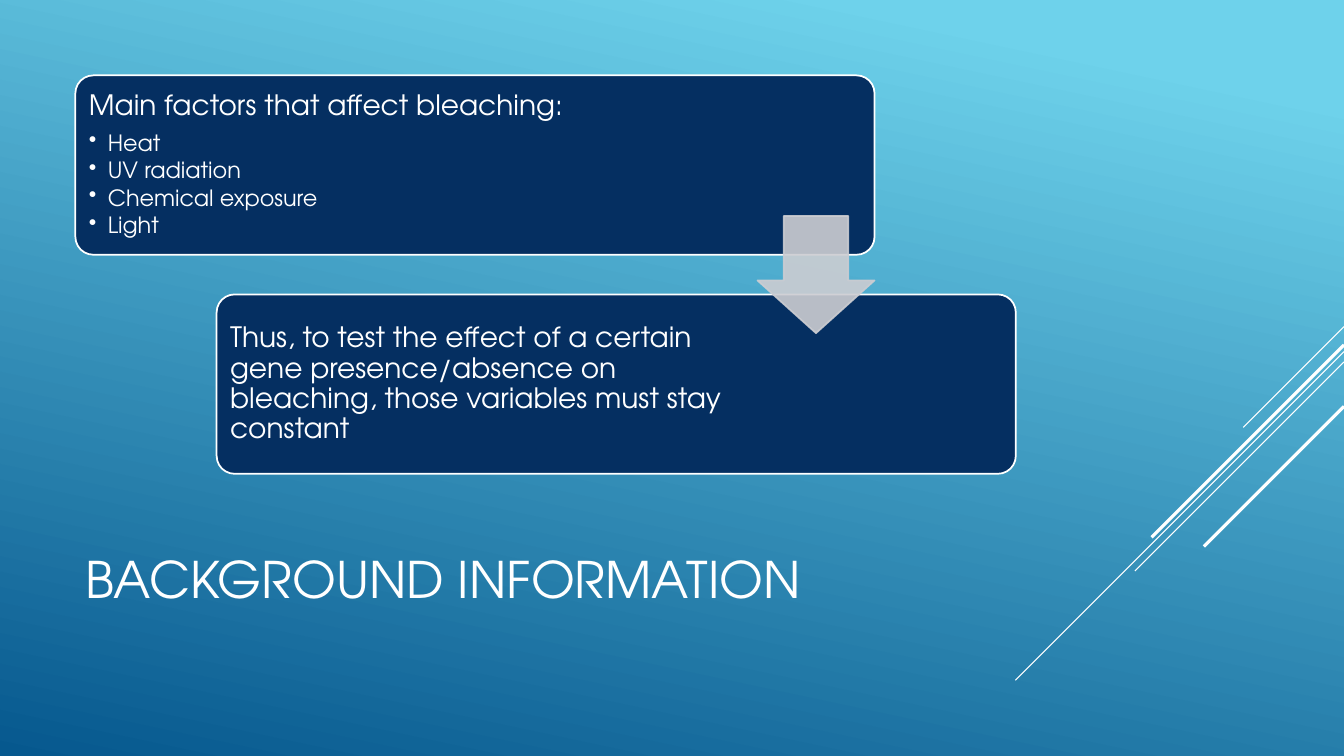
from dataclasses import dataclass

from lxml import etree
from pptx import Presentation
from pptx import util as u
from pptx.dml.color import RGBColor
from pptx.enum import shapes, text
from pptx.oxml.ns import qn


@dataclass(frozen=True)
class Theme:
    font: str = "TeX Gyre Adventor"
    sky: RGBColor = RGBColor(0x6E, 0xD2, 0xEB)
    deep: RGBColor = RGBColor(0x06, 0x58, 0x8E)
    navy: RGBColor = RGBColor(0x05, 0x2F, 0x61)
    white: RGBColor = RGBColor(0xFF, 0xFF, 0xFF)
    silver: RGBColor = RGBColor(0xCC, 0xCD, 0xD2)
    title_size: int = 36
    lead_size: int = 20
    bullet_size: int = 16
    border: float = 1.25


T = Theme()
WIDTH, HEIGHT = u.Cm(33.87), u.Cm(19.05)
MARGIN = u.Cm(1.9)

# Height on the right edge (cm), run to the lower left (cm), weight (pt)
RAYS = [
    (8.23, 2.54, 0.75),
    (8.86, 8.28, 0.75),
    (9.12, 5.27, 0.75),
    (8.69, 4.85, 2.25),
    (10.24, 3.53, 2.25),
]

# Lead sentence, bullets, text width (cm)
STEPS = [
    ("Main factors that affect bleaching:",
     ["Heat", "UV radiation", "Chemical exposure", "Light"], 15.47),
    ("Thus, to test the effect of a certain gene presence/absence on "
     "bleaching, those variables must stay constant", [], 13.39),
]


def paint_background(s):
    fill = s.background.fill
    fill.gradient()
    fill.gradient_angle = 360 - 102
    for stop, position, color in zip(fill.gradient_stops, (0.1, 1), (T.sky, T.deep)):
        stop.position = position
        stop.color.rgb = color


def add_rays(s, right):
    """Draw the 45-degree lines that run in from the right edge."""
    for top, run, weight in RAYS:
        y, d = u.Cm(top), u.Cm(run)
        ray = s.shapes.add_connector(
            shapes.MSO_CONNECTOR.STRAIGHT, right, y, right - d, y + d)
        ray.line.color.rgb = T.white
        ray.line.width = u.Pt(weight)
        etree.SubElement(ray._element.spPr, qn("a:effectLst"))


def add_text(s, box, inset=None):
    """Add a wrapping, vertically centred text frame."""
    tf = s.shapes.add_textbox(*box).text_frame
    tf.word_wrap = True
    tf.vertical_anchor = text.MSO_ANCHOR.MIDDLE
    if inset is not None:
        tf.margin_left = tf.margin_right = tf.margin_top = tf.margin_bottom = inset
    return tf


def write(p, words, size):
    p.text = words
    font = p.runs[0].font
    font.name, font.size, font.color.rgb = T.font, u.Pt(size), T.white


def add_bullet(p):
    pPr = p._p.get_or_add_pPr()
    indent = u.Cm(0.48)
    pPr.set("marL", str(indent))
    pPr.set("indent", str(-indent))
    etree.SubElement(pPr, qn("a:buChar"), char="•")


def add_title(s, box):
    write(add_text(s, box).paragraphs[0], "BACKGROUND INFORMATION", T.title_size)


def add_card(s, box, lead, bullets, text_width):
    x, y, w, h = box
    sp = s.shapes.add_shape(shapes.MSO_SHAPE.ROUNDED_RECTANGLE, *box)
    sp.adjustments[0] = 0.1
    sp.shadow.inherit = False
    sp.fill.solid()
    sp.fill.fore_color.rgb = T.navy
    sp.line.color.rgb = T.white
    sp.line.width = u.Pt(T.border)

    pad = u.Cm(0.13)
    tf = add_text(s, (x + pad, y + pad, text_width, h - 2 * pad), u.Cm(0.21))
    p = tf.paragraphs[0]
    write(p, lead, T.lead_size)
    p.line_spacing = 0.9
    p.space_after = u.Pt(T.lead_size * 0.35)
    for bullet in bullets:
        p = tf.add_paragraph()
        write(p, bullet, T.bullet_size)
        p.level = 1
        p.line_spacing = 0.9
        p.space_after = u.Pt(T.bullet_size * 0.15)
        add_bullet(p)


def add_arrow(s, box):
    sp = s.shapes.add_shape(shapes.MSO_SHAPE.DOWN_ARROW, *box)
    sp.adjustments[0], sp.adjustments[1] = 0.55, 0.45
    sp.shadow.inherit = False
    sp.fill.solid()
    sp.fill.fore_color.rgb = T.silver
    sp.line.color.rgb = T.silver
    sp.line.width = u.Pt(T.border)
    for color in sp._element.spPr.iter(qn("a:srgbClr")):
        etree.SubElement(color, qn("a:alpha"), val="90000")


def add_steps(s, box):
    """Place the cards as a staircase, with an arrow across each gap."""
    x, y, w, h = box
    card_w, card_h, arrow = u.Cm(20.14), u.Cm(4.52), u.Cm(2.95)
    gaps = len(STEPS) - 1
    dx, dy = (w - card_w) // gaps, (h - card_h) // gaps
    for i, (lead, bullets, text_width) in enumerate(STEPS):
        add_card(s, (x + i * dx, y + i * dy, card_w, card_h),
                 lead, bullets, u.Cm(text_width))
    for i in range(gaps):
        middle = y + i * dy + (card_h + dy) // 2
        add_arrow(s, (x + i * dx + card_w - arrow, middle - arrow // 2, arrow, arrow))


def main():
    prs = Presentation()
    prs.slide_width, prs.slide_height = WIDTH, HEIGHT
    s = prs.slides.add_slide(prs.slide_layouts[6])
    content_w = u.Cm(23.7)
    paint_background(s)
    add_rays(s, WIDTH)
    add_title(s, (MARGIN, u.Cm(12.47), content_w, u.Cm(4.19)))
    add_steps(s, (MARGIN, MARGIN, content_w, u.Cm(10.04)))
    prs.save("out.pptx")


if __name__ == "__main__":
    main()
